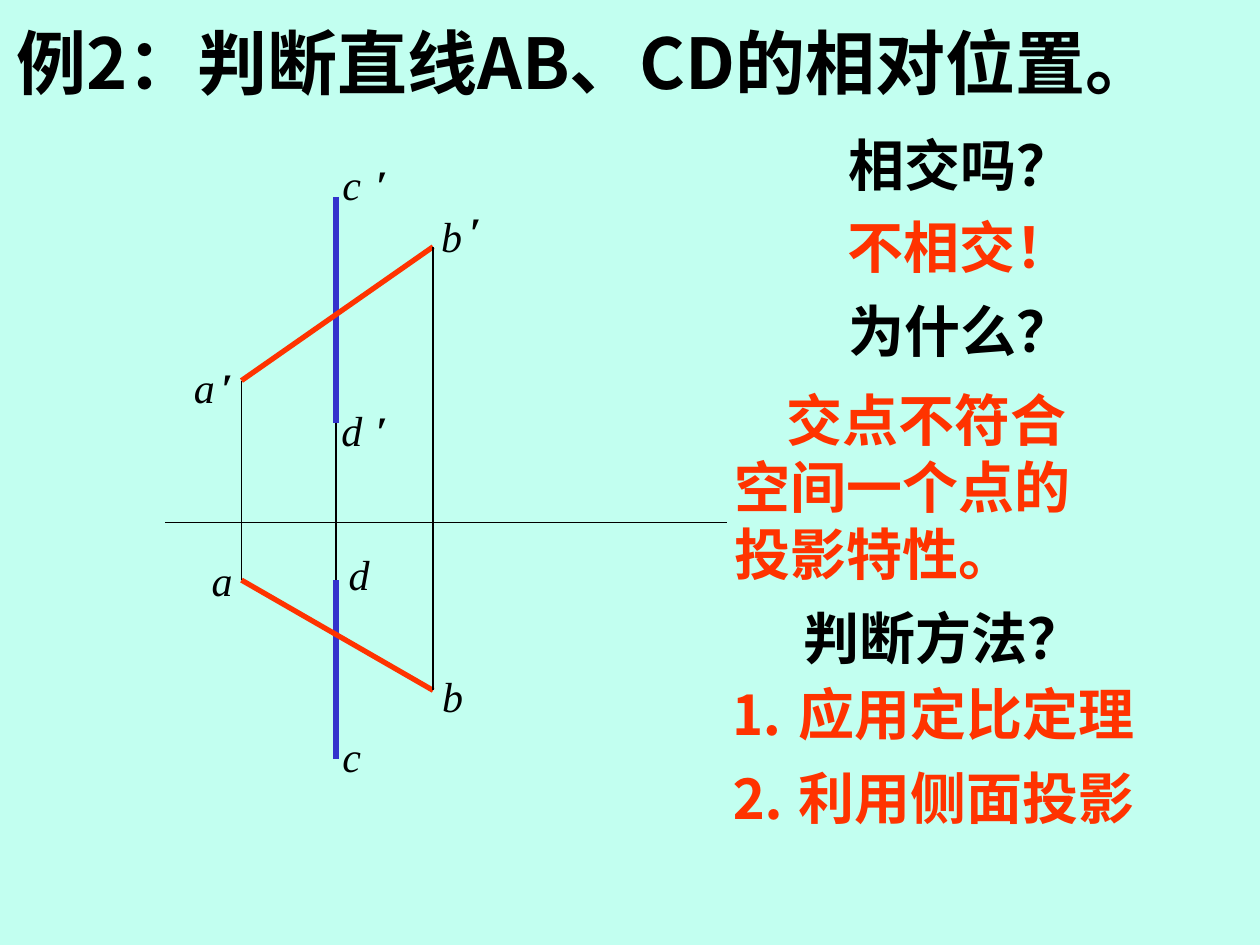
from lxml import etree
from pptx import Presentation
from pptx.dml.color import RGBColor
from pptx.enum import shapes, text
from pptx.oxml.ns import qn
from pptx.util import Pt

BLACK, RED, BLUE = "000000", "FF3300", "3333CC"
SERIF, CJK = "Times New Roman", "Noto Sans CJK SC"


def rgb(value):
    return RGBColor.from_string(value)


def write(box, words, size, font, color, bold=False, italic=False, wrap=False):
    """Fill a box with one left-aligned, vertically centred run."""
    frame = box.text_frame
    frame.word_wrap = wrap
    frame.auto_size = text.MSO_AUTO_SIZE.SHAPE_TO_FIT_TEXT
    frame.vertical_anchor = text.MSO_ANCHOR.MIDDLE
    paragraph = frame.paragraphs[0]
    paragraph.alignment = text.PP_ALIGN.LEFT
    run = paragraph.add_run()
    run.text = words
    run.font.size = Pt(size)
    run.font.name = font
    run.font.bold = bold
    run.font.italic = italic
    run.font.color.rgb = rgb(color)
    east_asian = etree.SubElement(run.font._element, qn("a:ea"))
    east_asian.set("typeface", CJK)
    return paragraph


deck = Presentation()
deck.slide_width, deck.slide_height = Pt(720), Pt(540)
slide = deck.slides.add_slide(deck.slide_layouts[5])
slide.background.fill.solid()
slide.background.fill.fore_color.rgb = rgb("C2FFF0")

title = slide.shapes.title
title.left, title.top, title.width, title.height = Pt(2.2), Pt(7.2), Pt(723.6), Pt(55.4)
write(title, "例2：判断直线AB、CD的相对位置。", 40, CJK, BLACK, bold=True)

# Both projections share the x of each endpoint
a_x, cd_x, b_x = 138, 192, 247.5
a_front, b_front, c_front, d_front = 217.5, 141, 112.5, 241.5
a_top, b_top, c_top, d_top = 331.5, 394.5, 433.5, 331.5
axis_y = 298.5

for x1, y1, x2, y2, color, weight in [
    (94.5, axis_y, 415.5, axis_y, BLACK, 0.75),
    (cd_x, c_front, cd_x, d_front, BLUE, 3),
    (cd_x, d_front, cd_x, d_top, BLACK, 0.75),
    (cd_x, d_top, cd_x, c_top, BLUE, 3),
    (a_x, a_front, b_x, b_front, RED, 3),
    (a_x, a_top, b_x, b_top, RED, 3),
    (a_x, a_top, a_x, a_front, BLACK, 0.75),
    (b_x, b_top, b_x, b_front, BLACK, 0.75),
]:
    line = slide.shapes.add_connector(
        shapes.MSO_CONNECTOR.STRAIGHT, Pt(x1), Pt(y1), Pt(x2), Pt(y2))
    line.line.color.rgb = rgb(color)
    line.line.width = Pt(weight)
    etree.SubElement(line._element.spPr, qn("a:effectLst"))

# Point letters, italic
for letter, x, y in [
    ("c", 188.6, 87.1), ("a", 103.7, 203), ("b", 245, 116.6), ("d", 188, 227.5),
    ("a", 113.8, 313.2), ("b", 245.5, 379.4), ("c", 188.6, 414), ("d", 192.2, 309.6),
]:
    box = slide.shapes.add_textbox(Pt(x), Pt(y), Pt(26), Pt(36))
    write(box, letter, 24, SERIF, BLACK, italic=True)

# Prime marks of the front projection
for x, y in [(208, 87.1), (119.5, 203), (261.4, 113.8), (208, 227.5)]:
    box = slide.shapes.add_textbox(Pt(x), Pt(y), Pt(21), Pt(36))
    write(box, "′", 24, SERIF, BLACK, bold=True)

for words, x, y, width, color in [
    ("相交吗？", 478, 70.6, 142.6, BLACK),
    ("不相交！", 477.4, 117.4, 142.6, RED),
    ("为什么？", 478, 165.6, 142.6, BLACK),
    ("判断方法？", 452.2, 341.3, 174.2, BLACK),
    ("⒈ 应用定比定理", 409.7, 384.5, 247.7, RED),
    ("⒉ 利用侧面投影", 409.7, 432.7, 247.7, RED),
]:
    box = slide.shapes.add_textbox(Pt(x), Pt(y), Pt(width), Pt(46))
    write(box, words, 32, SERIF, color, bold=True)

reason_box = slide.shapes.add_textbox(Pt(412.6), Pt(216.7), Pt(233.3), Pt(122.4))
reason = write(reason_box, "交点不符合空间一个点的投影特性。", 32, CJK, RED, bold=True, wrap=True)
reason._p.get_or_add_pPr().set("indent", str(Pt(30)))

deck.save("out.pptx")
